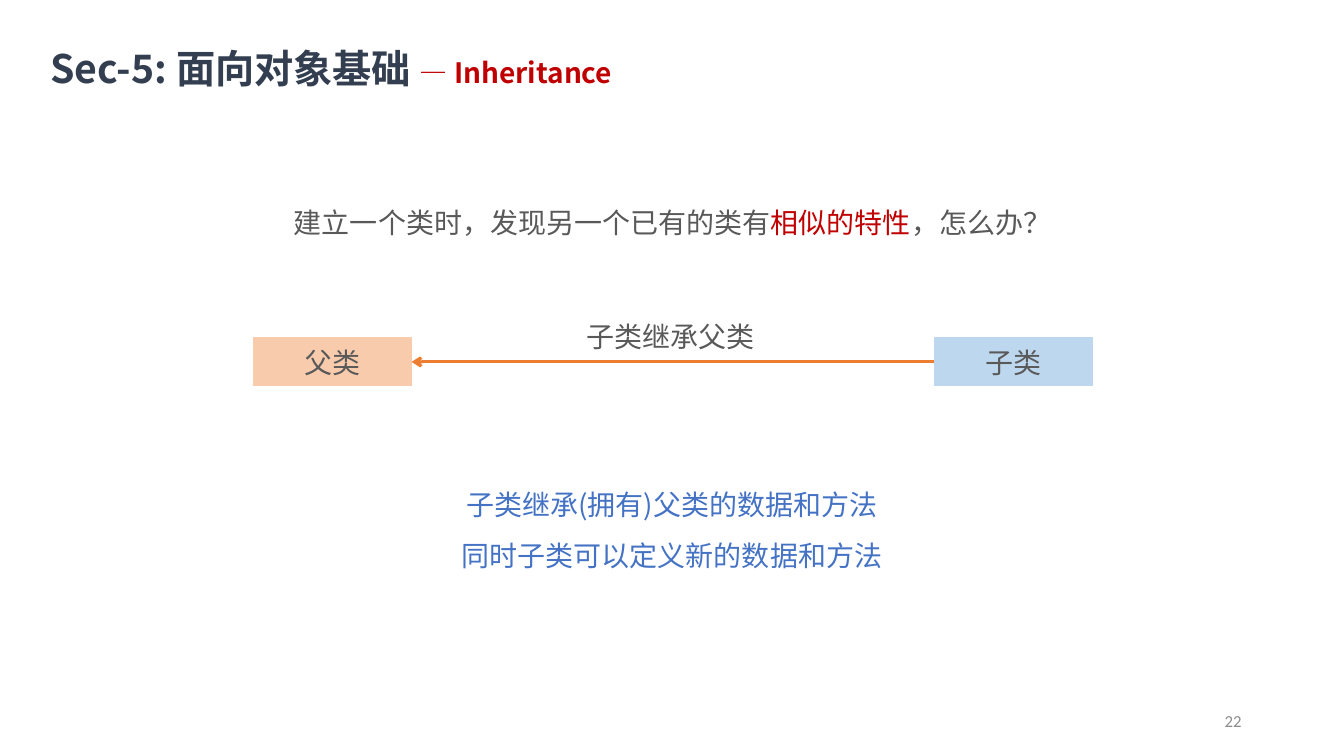
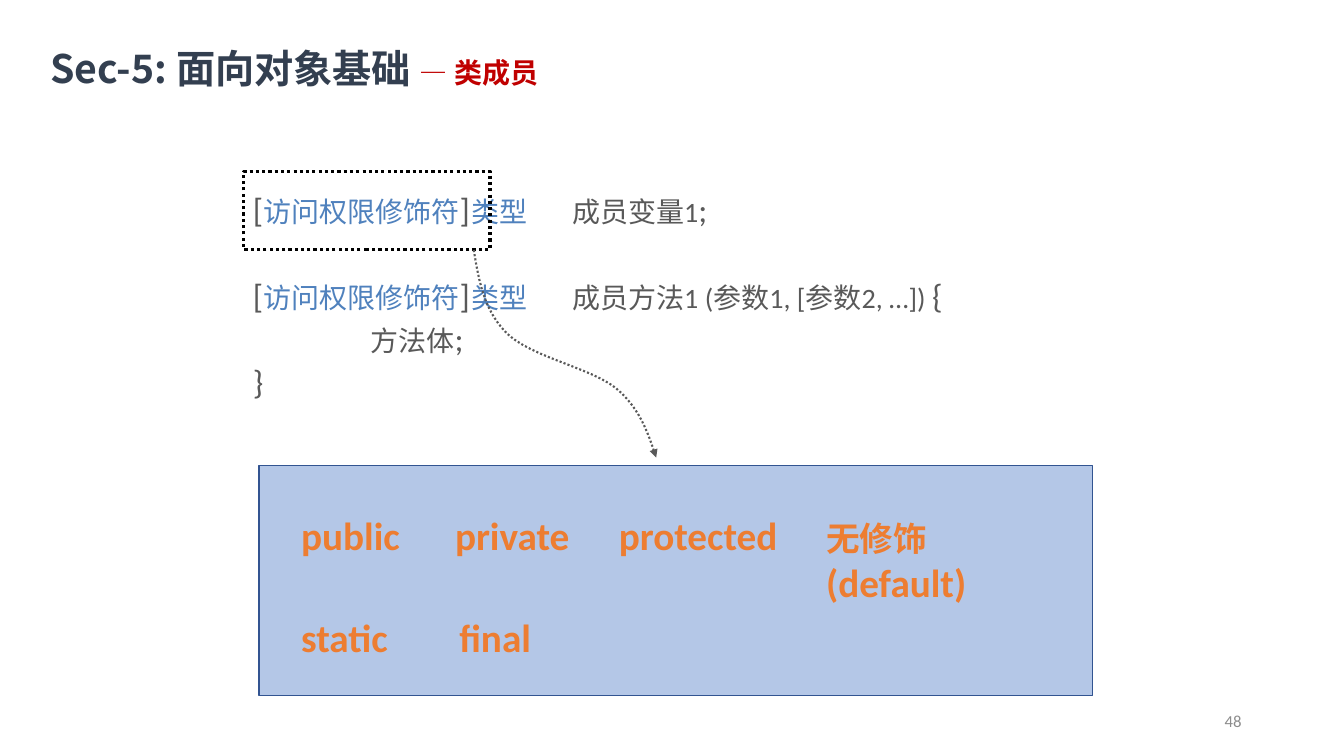
from lxml import etree
from pptx import Presentation
from pptx.dml.color import RGBColor
from pptx.enum.dml import MSO_LINE
from pptx.enum.shapes import MSO_CONNECTOR, MSO_SHAPE
from pptx.enum.text import MSO_ANCHOR, MSO_AUTO_SIZE, PP_ALIGN
from pptx.oxml.ns import qn
from pptx.util import Pt

LEFT, CENTER, RIGHT = PP_ALIGN.LEFT, PP_ALIGN.CENTER, PP_ALIGN.RIGHT
TOP, MIDDLE = MSO_ANCHOR.TOP, MSO_ANCHOR.MIDDLE
RECTANGLE, STRAIGHT = MSO_SHAPE.RECTANGLE, MSO_CONNECTOR.STRAIGHT
DOTTED = MSO_LINE.ROUND_DOT
LATIN, HAN = "Calibri", "Noto Sans CJK SC"
NAVY, RED, GREY, PALE_GREY = "333F50", "C00000", "595959", "8C8C8C"
BLUE, CODE_BLUE, ORANGE, BLACK = "4472C4", "4F81BD", "ED7D31", "000000"

STYLES = {
    "section": ({"name": HAN, "size": Pt(28), "bold": True}, NAVY),
    "dash": ({"name": HAN, "size": Pt(20), "bold": False}, RED),
    "topic": ({"name": HAN, "size": Pt(20), "bold": True}, RED),
    "number": ({"name": LATIN, "size": Pt(12)}, PALE_GREY),
    "body": ({"name": HAN, "size": Pt(20)}, GREY),
    "stress": ({"name": HAN, "size": Pt(20)}, RED),
    "result": ({"name": HAN, "size": Pt(20)}, BLUE),
    "class": ({"name": LATIN, "size": Pt(20)}, GREY),
    "mark": ({"name": LATIN, "size": Pt(24)}, GREY),
    "code": ({"name": LATIN, "size": Pt(20)}, GREY),
    "slot": ({"name": LATIN, "size": Pt(20)}, CODE_BLUE),
    "keyword": ({"name": LATIN, "size": Pt(28), "bold": True}, ORANGE),
    "han keyword": ({"name": HAN, "size": Pt(24), "bold": True}, ORANGE),
}

SECTION = "Sec-5: 面向对象基础 "
QUESTION = [("建立一个类时，发现另一个已有的类有", "body"),
            ("相似的特性", "stress"), ("，怎么办？", "body")]
RESULTS = [[("子类继承(拥有)父类的数据和方法", "result")],
           [("同时子类可以定义新的数据和方法", "result")]]
RELATION = [("子类继承父类", "body")]
CLASSES = [("父类", 181, "F8CBAD"), ("子类", 667.5, "BDD7EE")]

MEMBER_START = [("[", "mark"), ("访问权限修饰符", "slot"), ("]\t", "mark"),
                ("类型", "slot"), ("\t", "mark")]
MEMBERS = [
    MEMBER_START + [("成员变量1", "code"), (";", "mark")],
    MEMBER_START + [("成员方法1 (参数1, [参数2, …]) ", "code"), ("{", "mark")],
    [("\t\t", "mark"), ("方法体", "code"), (";", "mark")],
    [("}", "mark")],
]
MODIFIERS = [
    (361, [(208, [("public", "keyword")]),
           (318, [("private", "keyword")]),
           (435, [("protected", "keyword")]),
           (583, [("无修饰", "han keyword"), ("(default)", "keyword")])]),
    (434, [(208, [("static", "keyword")]),
           (321, [("final", "keyword")])]),
]
CURVE_START = (338.4, 178.6)
CURVES = [
    ((342, 200.2), (345.6, 221.8), (362.2, 238.3)),
    ((379.4, 254.9), (421.9, 262.8), (439.9, 277.2)),
    ((457.2, 291.6), (463, 309.6), (468.7, 326.9)),
]
CURVE_STEPS = 12


def colour(value):
    return RGBColor.from_string(value)


def write(frame, paragraphs, line_height, align=LEFT, gaps=(), hanging=0):
    frame.word_wrap = True
    for index, runs in enumerate(paragraphs):
        paragraph = frame.paragraphs[0] if index == 0 else frame.add_paragraph()
        layout = {"alignment": align, "line_spacing": Pt(line_height),
                  "space_before": Pt(gaps[index] if gaps else 0)}
        for key, value in layout.items():
            setattr(paragraph, key, value)
        if hanging:
            properties = paragraph._p.get_or_add_pPr()
            properties.set("marL", str(Pt(hanging)))
            properties.set("indent", str(-Pt(hanging)))
        for text, style in runs:
            run = paragraph.add_run()
            run.text = text
            formats, tone = STYLES[style]
            for key, value in formats.items():
                setattr(run.font, key, value)
            run.font.color.rgb = colour(tone)
            etree.SubElement(run._r.get_or_add_rPr(), qn("a:ea"), typeface=HAN)


def add_text(slide, box, paragraphs, line_height, anchor=TOP, **options):
    frame = slide.shapes.add_textbox(*map(Pt, box)).text_frame
    frame.vertical_anchor = anchor
    write(frame, paragraphs, line_height, **options)


def set_line(shape, tone, width, dash=None, arrow=None):
    shape.line.color.rgb = colour(tone)
    shape.line.width = Pt(width)
    if dash is not None:
        shape.line.dash_style = dash
    if arrow:
        outline = shape._element.spPr.find(qn("a:ln"))
        etree.SubElement(outline, qn("a:tailEnd"), type=arrow)


def add_box(slide, box, fill, line, width, dash=None):
    shape = slide.shapes.add_shape(RECTANGLE, *map(Pt, box))
    shape.shadow.inherit = False
    if fill:
        shape.fill.solid()
        shape.fill.fore_color.rgb = colour(fill)
    else:
        shape.fill.background()
    set_line(shape, line, width, dash)
    return shape


def add_page(deck, topic, number):
    slide = deck.slides.add_slide(deck.slide_layouts[5])
    title = slide.shapes.title
    place = {"left": 36, "top": 30, "width": 529, "height": 35}
    for key, value in place.items():
        setattr(title, key, Pt(value))
    frame = title.text_frame
    formats = {"auto_size": MSO_AUTO_SIZE.NONE, "vertical_anchor": TOP,
               "margin_left": 0, "margin_top": Pt(1),
               "margin_right": 0, "margin_bottom": 0}
    for key, value in formats.items():
        setattr(frame, key, value)
    write(frame, [[(SECTION, "section"), ("— ", "dash"), (topic, "topic")]], 34)
    add_text(slide, (678, 500.5, 216, 28.75), [[(number, "number")]], 14.5,
             anchor=MIDDLE, align=RIGHT)
    return slide


def add_inheritance(deck):
    slide = add_page(deck, "Inheritance", "22")
    add_text(slide, (151, 143, 659, 31.5), [QUESTION], 24, align=CENTER)
    add_text(slide, (300, 333, 360, 75.5), RESULTS, 36, align=CENTER)
    class_boxes = []
    for label, left, fill in CLASSES:
        box = add_box(slide, (left, 241.5, 113, 34), fill, fill, 1)
        box.text_frame.vertical_anchor = MIDDLE
        write(box.text_frame, [[(label, "class")]], 24, align=CENTER)
        class_boxes.append(box)
    parent, child = class_boxes
    arrow = slide.shapes.add_connector(STRAIGHT, 0, 0, 0, 0)
    arrow.begin_connect(child, 1)
    arrow.end_connect(parent, 3)
    set_line(arrow, ORANGE, 2.25, arrow="arrow")
    etree.SubElement(arrow._element.spPr, qn("a:effectLst"))
    add_text(slide, (400, 224.5, 158.5, 31.5), [RELATION], 24, align=CENTER)


def curve_points():
    start = CURVE_START
    for first, second, end in CURVES:
        for step in range(1, CURVE_STEPS + 1):
            t = step / CURVE_STEPS
            u = 1 - t
            yield tuple(
                Pt(u**3 * a + 3 * u * u * t * b + 3 * u * t * t * c + t**3 * d)
                for a, b, c, d in zip(start, first, second, end))
        start = end


def add_members(deck):
    slide = add_page(deck, "类成员", "48")
    add_box(slide, (185, 332.5, 595.5, 164.5), "B4C7E7", "325491", 1)
    add_text(slide, (173.5, 134, 657.5, 161), MEMBERS, 26,
             gaps=(0, 35.6, 4.8, 4.8), hanging=48)
    add_box(slide, (174, 122.5, 176, 55.5), None, BLACK, 2.25, DOTTED)
    builder = slide.shapes.build_freeform(*map(Pt, CURVE_START))
    builder.add_line_segments(curve_points(), close=False)
    pointer = builder.convert_to_shape()
    pointer.shadow.inherit = False
    pointer.fill.background()
    set_line(pointer, GREY, 1.5, DOTTED, "triangle")
    for top, row in MODIFIERS:
        for left, runs in row:
            add_text(slide, (left, top, 147.5, 41), [runs], 34)


def main():
    deck = Presentation()
    deck.slide_width, deck.slide_height = Pt(960), Pt(540)
    add_inheritance(deck)
    add_members(deck)
    deck.save("out.pptx")


if __name__ == "__main__":
    main()
